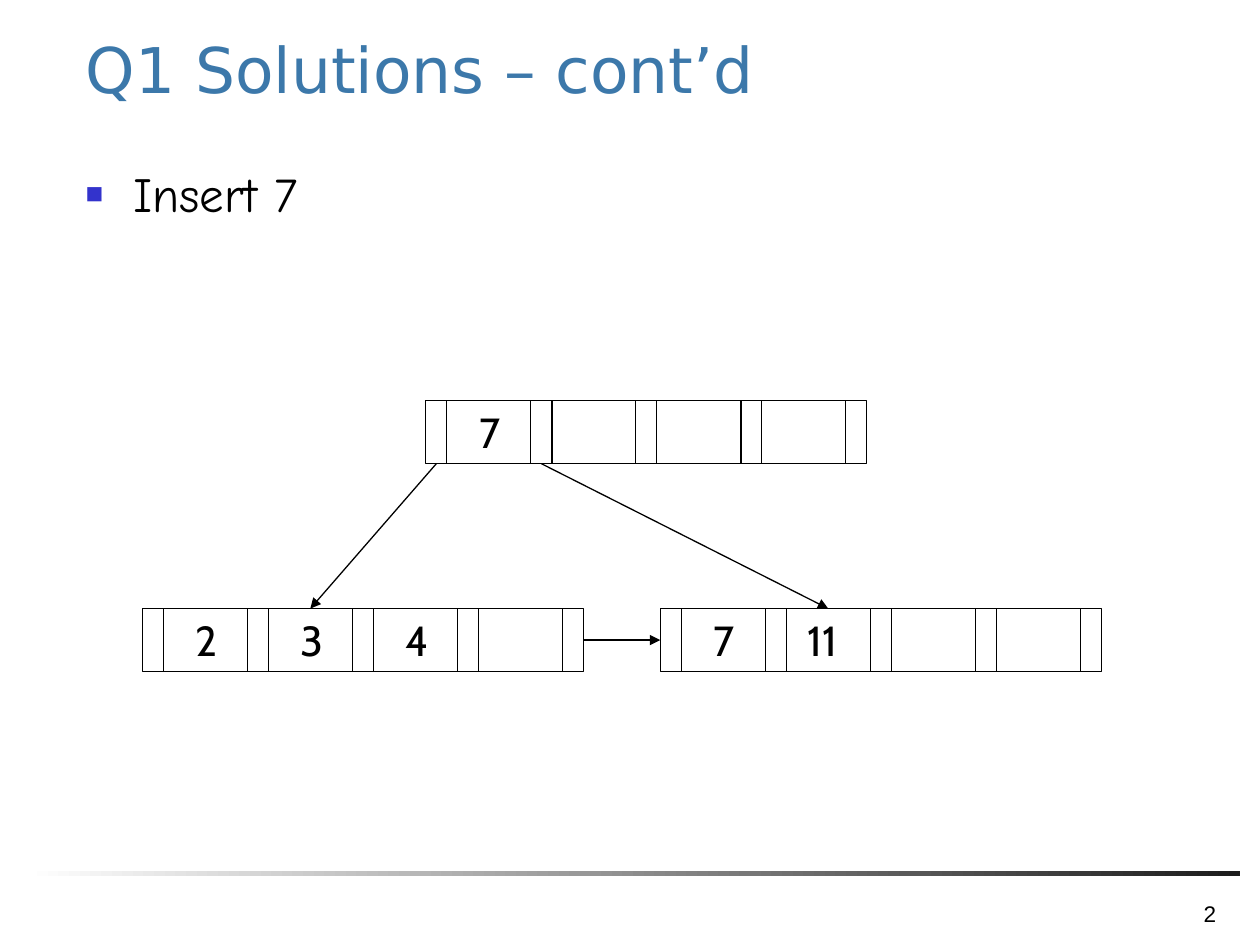
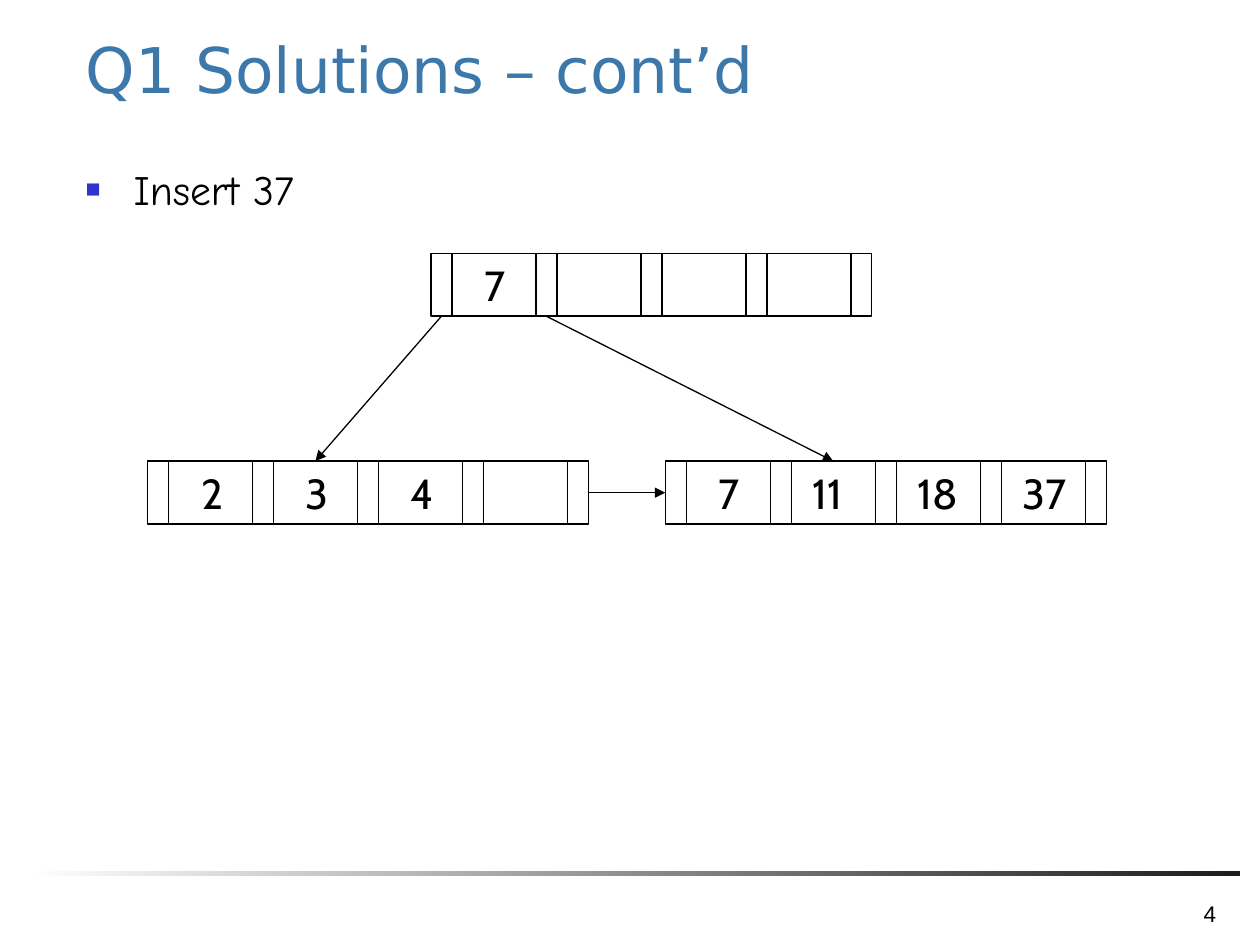
from dataclasses import dataclass

from lxml import etree
from pptx import Presentation
from pptx import util as u
from pptx.dml.color import RGBColor
from pptx.enum import shapes, text
from pptx.oxml import ns


@dataclass(frozen=True)
class Theme:
    title_color: RGBColor = RGBColor.from_string("3C78AA")
    bullet_color: str = "3333CC"
    ink: RGBColor = RGBColor.from_string("000000")
    band_start: RGBColor = RGBColor.from_string("FFFFFF")
    band_end: RGBColor = RGBColor.from_string("1C1C1C")
    title_font: str = "DejaVu Sans"
    body_font: str = "Comic Neue"
    key_font: str = "Cabin"
    number_font: str = "Arial"
    title_size: float = 36
    key_size: float = 24
    number_size: float = 12.9
    line_width: float = 0.75


@dataclass(frozen=True)
class Box:
    left: float
    top: float
    width: float
    height: float

    def lengths(self) -> tuple:
        return tuple(u.Inches(n) for n in (self.left, self.top, self.width, self.height))


@dataclass(frozen=True)
class Node:
    """A B+ tree node: four key slots, each between two narrow pointer slots."""
    left: float
    top: float
    keys: tuple

    def pointer_center(self, index: int) -> float:
        return self.left + index * PITCH + POINTER_WIDTH / 2

    def slot_left(self, index: int) -> float:
        return self.left + POINTER_WIDTH + index * PITCH

    def slot_center(self, index: int) -> float:
        return self.slot_left(index) + KEY_WIDTH / 2


@dataclass(frozen=True)
class InsertStep:
    number: str
    heading: str
    heading_size: float
    heading_box: Box
    tree_left: float
    leaf_top: float
    right_keys: tuple


THEME = Theme()
SLOTS = 4
POINTER_WIDTH = 1 / 6
KEY_WIDTH = 2 / 3
PITCH = POINTER_WIDTH + KEY_WIDTH
NODE_WIDTH = SLOTS * PITCH + POINTER_WIDTH
NODE_HEIGHT = 0.5
ROOT_SHIFT, ROOT_RISE, SIBLING_SHIFT = 2.25, 1.65, 4.11
TITLE = "Q1 Solutions – cont’d"

STEPS = (
    InsertStep("2", "Insert 7", 28, Box(0.58, 1.25, 9.04, 1.42), 1.13, 4.83, ("7", "11")),
    InsertStep("4", "Insert 37", 23.8, Box(0.58, 1.25, 2.42, 0.5), 1.17, 3.66,
               ("7", "11", "18", "37")),
)


def set_font(paragraph, name: str, size: float, color: RGBColor) -> None:
    font = paragraph.font
    font.name, font.size = name, u.Pt(size)
    font.color.rgb = color


def place(shape, box: Box) -> None:
    shape.left, shape.top, shape.width, shape.height = box.lengths()


def add_bullet(paragraph) -> None:
    properties = paragraph._p.get_or_add_pPr()
    properties.set("marL", str(u.Inches(0.38)))
    properties.set("indent", str(u.Inches(-0.38)))
    color = etree.SubElement(properties, ns.qn("a:buClr"))
    etree.SubElement(color, ns.qn("a:srgbClr"), val=THEME.bullet_color)
    etree.SubElement(properties, ns.qn("a:buSzPct"), val="60000")
    etree.SubElement(properties, ns.qn("a:buFont"), typeface=THEME.number_font)
    etree.SubElement(properties, ns.qn("a:buChar"), char="■")


def add_text(slide, box: Box, content: str):
    frame = slide.shapes.add_textbox(*box.lengths()).text_frame
    frame.text = content
    return frame


def add_line(parent, start: tuple, end: tuple, arrow: bool = False):
    line = parent.shapes.add_connector(
        shapes.MSO_CONNECTOR.STRAIGHT, *(u.Inches(n) for n in start + end))
    line.line.color.rgb = THEME.ink
    line.line.width = u.Pt(THEME.line_width)
    if arrow:
        etree.SubElement(line.line._get_or_add_ln(), ns.qn("a:tailEnd"), type="triangle")
    etree.SubElement(line._element.spPr, ns.qn("a:effectLst"))
    return line


def add_node(slide, node: Node):
    """Draw the node and return its outline, for connectors to join."""
    group = slide.shapes.add_group_shape()
    outline = group.shapes.add_shape(
        shapes.MSO_SHAPE.RECTANGLE,
        *Box(node.left, node.top, NODE_WIDTH, NODE_HEIGHT).lengths())
    outline.shadow.inherit = False
    outline.fill.background()
    outline.line.color.rgb = THEME.ink
    outline.line.width = u.Pt(THEME.line_width)
    for index in range(SLOTS):
        left = node.slot_left(index)
        for x in (left, left + KEY_WIDTH):
            add_line(group, (x, node.top), (x, node.top + NODE_HEIGHT))
    for index, key in enumerate(node.keys):
        inset, width = (0.16, 0.35) if len(key) == 1 else (0.07, 0.57)
        box = Box(node.slot_left(index) + inset, node.top, width, NODE_HEIGHT)
        frame = add_text(slide, box, key)
        set_font(frame.paragraphs[0], THEME.key_font, THEME.key_size, THEME.ink)
    return outline


def add_tree(slide, step: InsertStep) -> None:
    left_leaf = Node(step.tree_left, step.leaf_top, ("2", "3", "4"))
    right_leaf = Node(step.tree_left + SIBLING_SHIFT, step.leaf_top, step.right_keys)
    root = Node(step.tree_left + ROOT_SHIFT, step.leaf_top - ROOT_RISE, ("7",))
    right_outline, left_outline, _ = [
        add_node(slide, node) for node in (right_leaf, left_leaf, root)]
    for index, leaf in enumerate((left_leaf, right_leaf)):
        add_line(slide, (root.pointer_center(index), root.top + NODE_HEIGHT),
                 (leaf.slot_center(1), leaf.top), arrow=True)
    middle = step.leaf_top + NODE_HEIGHT / 2
    sibling_link = add_line(slide, (left_leaf.left + NODE_WIDTH, middle),
                            (right_leaf.left, middle), arrow=True)
    sibling_link.begin_connect(left_outline, 3)
    sibling_link.end_connect(right_outline, 1)


def add_footer(slide, number: str) -> None:
    band = slide.shapes.add_shape(
        shapes.MSO_SHAPE.RECTANGLE, *Box(0.21, 6.91, 9.63, 0.04).lengths())
    band.shadow.inherit = False
    band.line.fill.background()
    band.fill.gradient()
    band.fill.gradient_angle = 0
    for stop, color in zip(band.fill.gradient_stops, (THEME.band_start, THEME.band_end)):
        stop.color.rgb = color
    frame = add_text(slide, Box(9.25, 7.08, 0.5, 0.33), number)
    frame.word_wrap = True
    frame.vertical_anchor = text.MSO_ANCHOR.BOTTOM
    paragraph = frame.paragraphs[0]
    paragraph.alignment = text.PP_ALIGN.RIGHT
    paragraph.line_spacing = 0.9
    set_font(paragraph, THEME.number_font, THEME.number_size, THEME.ink)


def fill_placeholders(slide, step: InsertStep) -> None:
    title, body = slide.shapes.title, slide.placeholders[1]
    place(title, Box(0.58, 0.08, 8.52, 0.93))
    place(body, step.heading_box)
    title.text_frame.text, body.text_frame.text = TITLE, step.heading
    title.text_frame.vertical_anchor = text.MSO_ANCHOR.MIDDLE
    for shape in (title, body):
        shape.text_frame.auto_size = text.MSO_AUTO_SIZE.NONE
    heading = title.text_frame.paragraphs[0]
    heading.alignment = text.PP_ALIGN.LEFT
    set_font(heading, THEME.title_font, THEME.title_size, THEME.title_color)
    item = body.text_frame.paragraphs[0]
    add_bullet(item)
    item.space_before = u.Pt(0)
    set_font(item, THEME.body_font, step.heading_size, THEME.ink)


def main() -> None:
    presentation = Presentation()
    presentation.slide_width, presentation.slide_height = u.Inches(10), u.Inches(7.5)
    for step in STEPS:
        slide = presentation.slides.add_slide(presentation.slide_layouts[1])
        add_footer(slide, step.number)
        fill_placeholders(slide, step)
        add_tree(slide, step)
    presentation.save("out.pptx")


if __name__ == "__main__":
    main()
